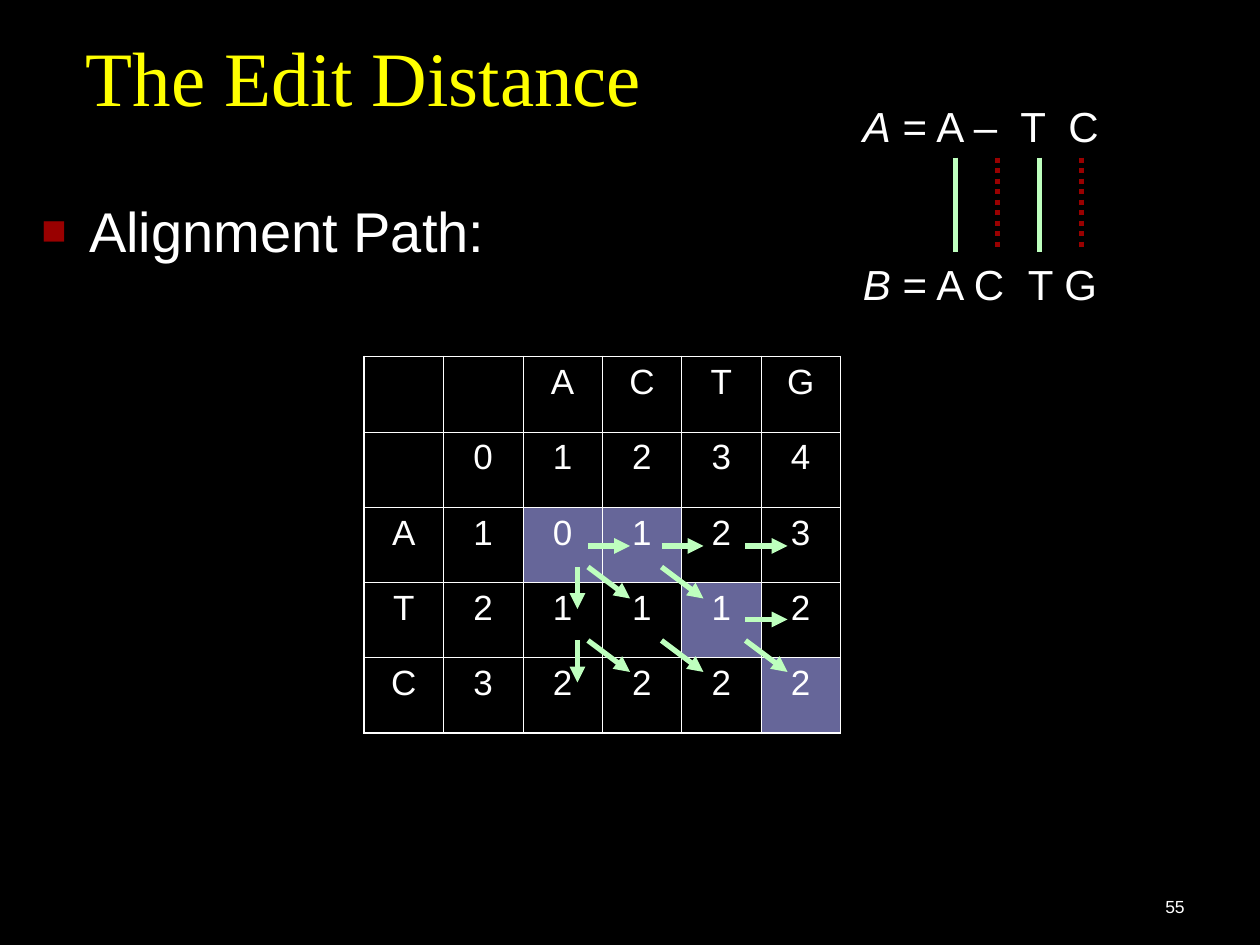
import dataclasses
import pptx
import pptx.dml.color
import pptx.enum.dml
import pptx.enum.shapes
import pptx.enum.text
import pptx.oxml
import pptx.oxml.ns
import pptx.util

TITLE = "The Edit Distance"
POINT = "Alignment Path:"
PAGE = "55"
GRID = [
    ["", "", "A", "C", "T", "G"],
    ["", "0", "1", "2", "3", "4"],
    ["A", "1", "0", "1", "2", "3"],
    ["T", "2", "1", "1", "1", "2"],
    ["C", "3", "2", "2", "2", "2"],
]
TRACE = {(2, 2), (2, 3), (3, 4), (4, 5)}
WORDS = [
    ("A", " = A –\tT\tC", 0.75, (1.25, 1.63)),
    ("B", " = A C\tT G", 2, (1.31,)),
]
PAIRS = ["match", "edit", "match", "edit"]

STEPS = {"right": (0, 52, 4, 0), "slant": (0, 54, 4, 3), "down": (-1, 54, 0, 4)}
STARTS = {2: 56, 3: 63, 4: 71}
MOVES = [
    (2, 2, "down"), (3, 2, "down"),
    (2, 2, "right"), (2, 2, "slant"), (3, 2, "slant"),
    (2, 3, "right"), (2, 3, "slant"), (3, 3, "slant"),
    (2, 4, "right"), (3, 4, "right"), (3, 4, "slant"),
]
PITCH = 7
UNIT = 1 / 12


@dataclasses.dataclass(frozen=True)
class Theme:
    back: str = "000000"
    text: str = "FFFFFF"
    title: str = "FFFF00"
    mark: str = "666699"
    match: str = "BEFFBE"
    edit: str = "990000"
    serif: str = "Times New Roman"
    sans: str = "Arial"
    head: int = 44
    body: int = 32
    word: int = 24
    cell: int = 20
    note: int = 10
    thick: float = 1.08
    thin: float = 0.45
    line: int = 3


LOOK = Theme()
Inch = pptx.util.Inches
Pt = pptx.util.Pt
ALIGN = pptx.enum.text.PP_ALIGN
ANCHOR = pptx.enum.text.MSO_ANCHOR


def color(code):
    return pptx.dml.color.RGBColor.from_string(code)


def node(xml):
    space = pptx.oxml.ns.nsdecls("a")
    return pptx.oxml.parse_xml(xml.replace("XMLNS", space, 1))


def write(para, text, size, face=LOOK.sans, ink=LOOK.text, slant=False):
    run = para.add_run()
    run.text = text
    font = run.font
    font.size, font.name, font.italic = Pt(size), face, slant
    font.color.rgb = color(ink)


def box(slide, left, top, width, height):
    frame = slide.shapes.add_textbox(*map(Inch, (left, top, width, height))).text_frame
    frame.word_wrap = True
    return frame


def draw(slide, x, y, wide, high, ink, dots=False, arrow=False):
    ends = [Inch(part * UNIT) for part in (x, y, x + wide, y + high)]
    link = slide.shapes.add_connector(pptx.enum.shapes.MSO_CONNECTOR.STRAIGHT, *ends)
    link.line.color.rgb = color(ink)
    link.line.width = Pt(LOOK.line)
    if dots:
        link.line.dash_style = pptx.enum.dml.MSO_LINE.ROUND_DOT
    props = link._element.spPr
    if arrow:
        stroke = props.find(pptx.oxml.ns.qn("a:ln"))
        stroke.append(node('<a:tailEnd XMLNS type="triangle"/>'))
    props.append(node("<a:effectLst XMLNS/>"))


def edge(cell, row, col):
    outer = {"L": col == 0, "R": col == len(GRID[0]) - 1,
             "T": row == 0, "B": row == len(GRID) - 1}
    props = cell._tc.get_or_add_tcPr()
    for spot, (side, rim) in enumerate(outer.items()):
        width = Pt(LOOK.thick if rim else LOOK.thin)
        props.insert(spot, node(
            f'<a:ln{side} XMLNS w="{width}"><a:solidFill>'
            f'<a:srgbClr val="{LOOK.text}"/></a:solidFill></a:ln{side}>'))


def fill_grid(slide):
    rows, cols = len(GRID), len(GRID[0])
    place = map(Inch, (2.89, 2.83, 3.78, 2.99))
    table = slide.shapes.add_table(rows, cols, *place).table
    table.first_row = table.horz_banding = False
    for row, line in enumerate(GRID):
        for col, text in enumerate(line):
            cell = table.cell(row, col)
            if (row, col) in TRACE:
                cell.fill.solid()
                cell.fill.fore_color.rgb = color(LOOK.mark)
            else:
                cell.fill.background()
            edge(cell, row, col)
            if text:
                para = cell.text_frame.paragraphs[0]
                para.alignment = ALIGN.CENTER
                para.space_before = Pt(5)
                write(para, text, LOOK.cell)


def add_title(slide):
    title = slide.shapes.title
    title.left, title.top, title.width, title.height = map(Inch, (0.58, 0.23, 8.92, 0.78))
    frame = title.text_frame
    frame.auto_size = pptx.enum.text.MSO_AUTO_SIZE.NONE
    frame.vertical_anchor = ANCHOR.BOTTOM
    para = frame.paragraphs[0]
    para.alignment = ALIGN.LEFT
    para.line_spacing = 0.8
    write(para, TITLE, LOOK.head, LOOK.serif, LOOK.title)


def add_point(slide):
    para = box(slide, 0.23, 1.51, 9.77, 3.57).paragraphs[0]
    props = para._p.get_or_add_pPr()
    props.set("marL", str(Inch(0.38)))
    props.set("indent", str(-Inch(0.38)))
    for xml in (f'<a:buClr XMLNS><a:srgbClr val="{LOOK.edit}"/></a:buClr>',
                '<a:buSzPct XMLNS val="75000"/>',
                f'<a:buFont XMLNS typeface="{LOOK.sans}"/>',
                '<a:buChar XMLNS char="■"/>'):
        props.append(node(xml))
    write(para, POINT, LOOK.body)


def add_word(slide, name, text, top, stops):
    para = box(slide, 6.75, top, 2.42, 0.5).paragraphs[0]
    tabs = "".join(f'<a:tab pos="{Inch(stop)}" algn="l"/>' for stop in stops)
    para._p.get_or_add_pPr().append(node(f"<a:tabLst XMLNS>{tabs}</a:tabLst>"))
    write(para, name, LOOK.word, slant=True)
    write(para, text, LOOK.word)


def main():
    deck = pptx.Presentation()
    deck.slide_width, deck.slide_height = Inch(10), Inch(7.5)
    slide = deck.slides.add_slide(deck.slide_layouts[5])
    slide.background.fill.solid()
    slide.background.fill.fore_color.rgb = color(LOOK.back)
    add_title(slide)
    fill_grid(slide)
    add_point(slide)
    for word in WORDS:
        add_word(slide, *word)
    for spot, kind in enumerate(PAIRS):
        draw(slide, 91 + 4 * spot, 15, 0, 9, getattr(LOOK, kind), dots=kind == "edit")
    for row, col, kind in MOVES:
        shift, top, wide, high = STEPS[kind]
        draw(slide, STARTS[col] + shift, top + PITCH * (row - 2), wide, high,
             LOOK.match, arrow=True)
    foot = box(slide, 7.42, 6.83, 2.08, 0.5)
    foot.vertical_anchor = ANCHOR.BOTTOM
    foot.paragraphs[0].alignment = ALIGN.RIGHT
    write(foot.paragraphs[0], PAGE, LOOK.note)
    deck.save("out.pptx")


if __name__ == "__main__":
    main()
